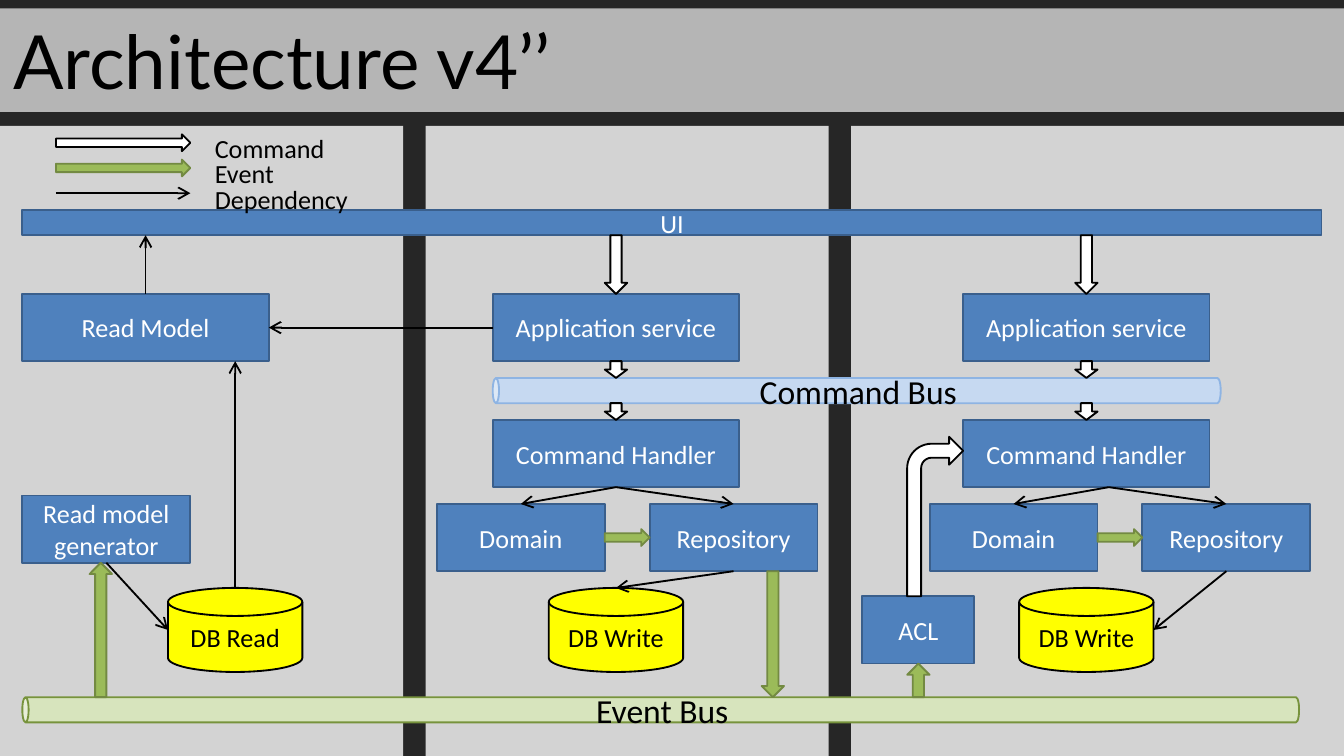
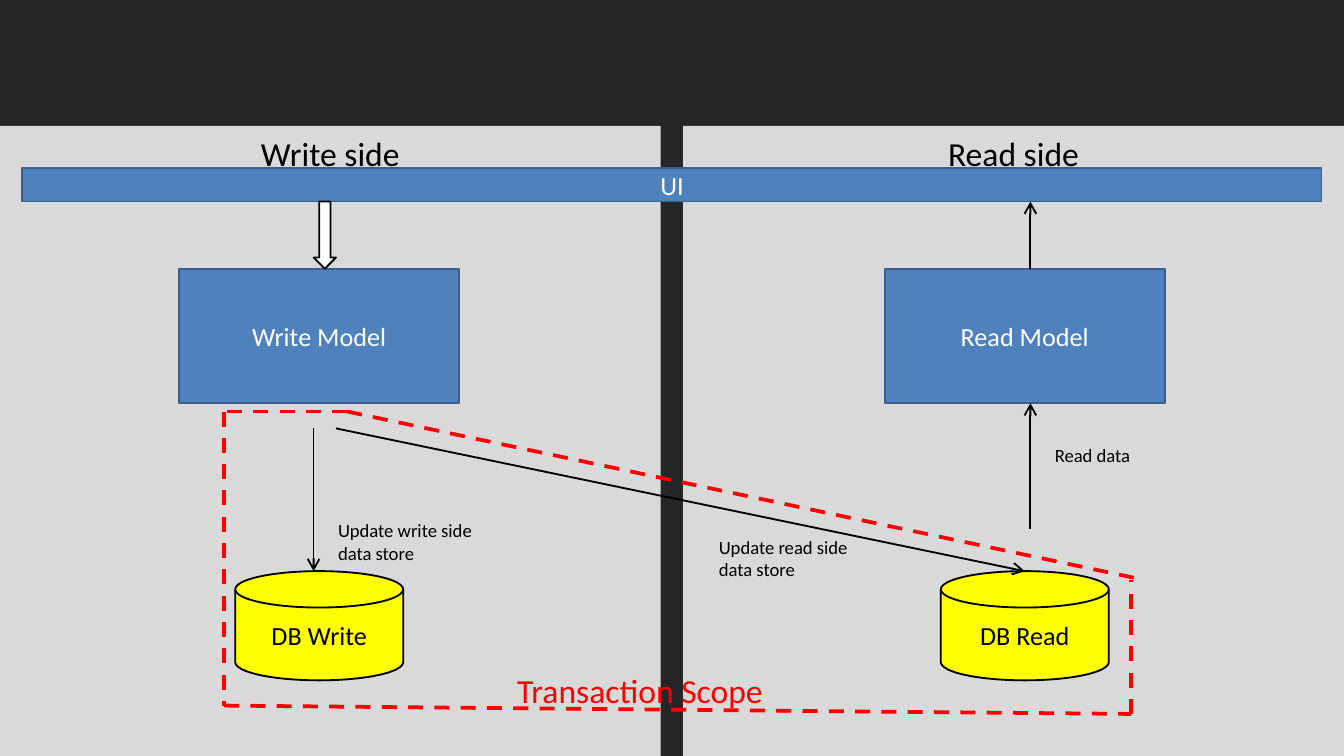
"""Build two architecture slides: a command and event diagram, and a transaction scope."""
from dataclasses import dataclass, replace
from typing import NamedTuple, Optional, Union

import pptx
import pptx.dml.color
import pptx.enum.dml
import pptx.enum.shapes
import pptx.enum.text
import pptx.oxml.ns
import pptx.oxml.xmlchemy
import pptx.shapes.autoshape
import pptx.shapes.connector
import pptx.slide
import pptx.util

Pt = pptx.util.Pt
RGBColor = pptx.dml.color.RGBColor
Preset = pptx.enum.shapes.MSO_SHAPE
Align = pptx.enum.text.PP_ALIGN
Anchor = pptx.enum.text.MSO_ANCHOR
Slide = pptx.slide.Slide
Shape = pptx.shapes.autoshape.Shape

BACKGROUND = RGBColor(0x26, 0x26, 0x26)
LIGHT_PANEL = RGBColor(0xF2, 0xF2, 0xF2)
GREY = RGBColor(0xD9, 0xD9, 0xD9)
WHITE = RGBColor(0xFF, 0xFF, 0xFF)
BLACK = RGBColor(0x00, 0x00, 0x00)
RED = RGBColor(0xFF, 0x00, 0x00)
YELLOW = RGBColor(0xFF, 0xFF, 0x00)
BLUE = RGBColor(0x4F, 0x81, 0xBD)
BLUE_EDGE = RGBColor(0x3A, 0x5F, 0x8C)
GREEN = RGBColor(0x9B, 0xBB, 0x59)
GREEN_EDGE = RGBColor(0x73, 0x8A, 0x42)
COMMAND_BUS = RGBColor(0xC6, 0xD9, 0xF1)
COMMAND_BUS_EDGE = RGBColor(0x8E, 0xB4, 0xE3)
EVENT_BUS = RGBColor(0xD7, 0xE4, 0xBD)
EVENT_BUS_EDGE = RGBColor(0x77, 0x93, 0x3C)

BODY_FONT = "Calibri"
TITLE_FONT = "Lato"
SLIDE_WIDTH, SLIDE_HEIGHT = 720, 405
PANEL_TOP = 67.5
TOP, LEFT, BOTTOM, RIGHT = range(4)


class Bounds(NamedTuple):
    """Visible extent of an element, in points."""
    left: float
    top: float
    width: float
    height: float


class Point(NamedTuple):
    """Free line end, in points."""
    x: float
    y: float


class Joint(NamedTuple):
    """Line end joined to a side of a shape."""
    shape: Shape
    side: int


End = Union[Point, Joint]


@dataclass(frozen=True)
class Style:
    """Look of a preset shape and its text."""
    preset: Preset
    fill: RGBColor
    edge: Optional[RGBColor] = None
    text_color: RGBColor = BLACK
    size: int = 14
    anchor: Anchor = Anchor.MIDDLE
    opacity: int = 100
    rotation: int = 0


@dataclass(frozen=True)
class LineStyle:
    """Look of a straight connector."""
    color: RGBColor
    width: int
    dashed: bool = False
    arrow: bool = False


COMPONENT = Style(Preset.RECTANGLE, BLUE, BLUE_EDGE, WHITE)
STORE = Style(Preset.FLOWCHART_MAGNETIC_DISK, YELLOW, BLACK)
COMMAND = Style(Preset.RIGHT_ARROW, WHITE, BLACK)
COMMAND_DOWN = replace(COMMAND, rotation=90)
COMMAND_BENT = replace(COMMAND, preset=Preset.BENT_ARROW)
EVENT = Style(Preset.RIGHT_ARROW, GREEN, GREEN_EDGE)
EVENT_DOWN = replace(EVENT, rotation=90)
EVENT_UP = replace(EVENT, rotation=270)
COMMAND_PIPE = Style(Preset.CAN, COMMAND_BUS, COMMAND_BUS_EDGE, size=18, rotation=270)
EVENT_PIPE = replace(COMMAND_PIPE, fill=EVENT_BUS, edge=EVENT_BUS_EDGE)
CONTEXT_PANEL = Style(Preset.RECTANGLE, LIGHT_PANEL, opacity=85)
SIDE_PANEL = Style(Preset.RECTANGLE, GREY, size=18, anchor=Anchor.TOP)
DEPENDENCY = LineStyle(BLACK, 1, arrow=True)
SCOPE = LineStyle(RED, 2, dashed=True)


def add_child(parent: pptx.oxml.xmlchemy.BaseOxmlElement, tag: str, **attributes: str) -> None:
    """Append a drawing element to a parent element."""
    child = pptx.oxml.xmlchemy.OxmlElement(tag)
    for name, value in attributes.items():
        child.set(name, value)
    parent.append(child)


def paint(shape: Shape, color: RGBColor, opacity: int = 100) -> None:
    """Fill a shape with a solid colour at the given opacity in percent."""
    shape.fill.solid()
    shape.fill.fore_color.rgb = color
    if opacity < 100:
        solid = shape.element.spPr.find(pptx.oxml.ns.qn("a:solidFill"))
        add_child(solid[0], "a:alpha", val=str(opacity * 1000))


def write(shape: Shape, text: str, size: int, color: RGBColor, align: Align,
          font_name: str = BODY_FONT) -> None:
    """Put one formatted paragraph in a shape."""
    shape.text_frame.word_wrap = True
    paragraph = shape.text_frame.paragraphs[0]
    paragraph.text = text
    paragraph.alignment = align
    paragraph.font.name = font_name
    paragraph.font.size = Pt(size)
    paragraph.font.color.rgb = color


def draw(slide: Slide, style: Style, bounds: Bounds, text: str = "") -> Shape:
    """Draw a preset shape so that it covers the bounds after rotation."""
    left, top, width, height = bounds
    if style.rotation:
        left += (width - height) / 2
        top += (height - width) / 2
        width, height = height, width
    shape = slide.shapes.add_shape(style.preset, Pt(left), Pt(top), Pt(width), Pt(height))
    shape.rotation = style.rotation
    shape.shadow.inherit = False
    paint(shape, style.fill, style.opacity)
    if style.edge is None:
        shape.line.fill.background()
    else:
        shape.line.color.rgb = style.edge
        shape.line.width = Pt(1)
    if text:
        write(shape, text, style.size, style.text_color, Align.CENTER)
        shape.text_frame.vertical_anchor = style.anchor
        if style.rotation:
            shape.element.txBody.bodyPr.set("vert", "vert")
    return shape


def label(slide: Slide, bounds: Bounds, text: str, size: int, color: RGBColor = BLACK) -> None:
    """Add a left-aligned text box."""
    box = slide.shapes.add_textbox(*map(Pt, bounds))
    write(box, text, size, color, Align.LEFT)


def connect(slide: Slide, start: End, end: End, style: LineStyle = DEPENDENCY) -> None:
    """Draw a straight connector between points or shape sides."""
    first, last = (item if isinstance(item, Point) else Point(0, 0) for item in (start, end))
    connector = slide.shapes.add_connector(
        pptx.enum.shapes.MSO_CONNECTOR.STRAIGHT, *map(Pt, first + last))
    if isinstance(start, Joint):
        connector.begin_connect(start.shape, start.side)
    if isinstance(end, Joint):
        connector.end_connect(end.shape, end.side)
    connector.line.color.rgb = style.color
    connector.line.width = Pt(style.width)
    if style.dashed:
        connector.line.dash_style = pptx.enum.dml.MSO_LINE.DASH
    if style.arrow:
        add_child(connector.line._get_or_add_ln(), "a:tailEnd", type="arrow")
    add_child(connector.element.spPr, "a:effectLst")


def draw_title(slide: Slide, text: str) -> None:
    """Place the title placeholder as a full-width band."""
    title = slide.shapes.title
    title.left, title.top, title.width, title.height = map(Pt, (0, 4.5, SLIDE_WIDTH, 55.5))
    paint(title, GREY, 80)
    write(title, text, 40, BLACK, Align.LEFT, TITLE_FONT)
    title.text_frame.auto_size = pptx.enum.text.MSO_AUTO_SIZE.NONE
    title.text_frame.vertical_anchor = Anchor.TOP


def draw_panels(slide: Slide, style: Style, widths: list[float], names: list[str]) -> None:
    """Draw the background panels side by side with a fixed gap."""
    left = 0
    for width, name in zip(widths, names):
        draw(slide, style, Bounds(left, PANEL_TOP, width, SLIDE_HEIGHT - PANEL_TOP), name)
        left += width + 12


def draw_write_context(slide: Slide, left: float, domain_left: float, fork_x: float) -> tuple[Shape, Shape]:
    """Draw one write column and return its application service and repository."""
    center = left + 66
    service = draw(slide, COMPONENT, Bounds(left, 157.5, 132, 36), "Application service")
    handler = draw(slide, COMPONENT, Bounds(left, 225, 132, 36), "Command Handler")
    domain = draw(slide, COMPONENT, Bounds(domain_left, 270, 90, 36), "Domain")
    repository = draw(slide, COMPONENT, Bounds(domain_left + 114, 270, 90, 36), "Repository")
    draw(slide, STORE, Bounds(center - 36, 315, 72, 45), "DB Write")
    for top, height in ((126, 31.5), (193.5, 9), (216, 9)):
        draw(slide, COMMAND_DOWN, Bounds(center - 6, top, 12, height))
    draw(slide, EVENT, Bounds(domain_left + 90, 283.5, 24, 9))
    fork = Joint(handler, BOTTOM) if fork_x == center else Point(fork_x, 261)
    for target in (domain, repository):
        connect(slide, fork, Joint(target, TOP))
    return service, repository


def build_architecture(slide: Slide) -> None:
    """Draw the command and event architecture."""
    draw_title(slide, "Architecture v4’’")
    draw_panels(slide, CONTEXT_PANEL, [216, 216, 264], ["", "", ""])
    draw(slide, COMPONENT, Bounds(12, 112.5, 696, 13.5), "UI")
    draw(slide, COMMAND_PIPE, Bounds(264, 202.5, 390, 13.5), "Command Bus")
    draw(slide, EVENT_PIPE, Bounds(12, 373.5, 684, 13.5), "Event Bus")

    service, repository = draw_write_context(slide, 264, 234, 330)
    connect(slide, Joint(repository, BOTTOM), Point(330, 315))
    draw(slide, EVENT_DOWN, Bounds(408, 306, 12, 67.5))

    _, repository = draw_write_context(slide, 516, 498, 594)
    connect(slide, Joint(repository, BOTTOM), Point(618, 337.5))
    draw(slide, COMPONENT, Bounds(462, 319.5, 60, 36), "ACL")
    draw(slide, EVENT_UP, Bounds(486, 355.5, 12, 18))
    draw(slide, COMMAND_BENT, Bounds(486, 234, 30, 85.5))

    read_model = draw(slide, COMPONENT, Bounds(12, 157.5, 132, 36), "Read Model")
    generator = draw(slide, COMPONENT, Bounds(12, 265.5, 90, 36), "Read model generator")
    draw(slide, STORE, Bounds(90, 315, 72, 45), "DB Read")
    draw(slide, EVENT_UP, Bounds(48, 301.5, 12, 72))
    connect(slide, Joint(read_model, TOP), Point(78, 126))
    connect(slide, Joint(service, LEFT), Joint(read_model, RIGHT))
    connect(slide, Point(126, 315), Point(126, 193.5))
    connect(slide, Joint(generator, BOTTOM), Point(90, 337.5))

    draw(slide, COMMAND, Bounds(30, 72, 72, 9))
    draw(slide, EVENT, Bounds(30, 85.5, 72, 9))
    connect(slide, Point(30, 103.5), Point(102, 103.5))
    for row, name in enumerate(("Command", "Event", "Dependency")):
        label(slide, Bounds(108, PANEL_TOP + 13.5 * row, 114, 24.5), name, 14)


def build_transaction_scope(slide: Slide) -> None:
    """Draw the write and read sides with the transaction scope."""
    draw_panels(slide, SIDE_PANEL, [354, 354], ["Write side", "Read side"])
    draw(slide, COMPONENT, Bounds(12, 90, 696, 18), "UI")
    for left, side in ((96, "Write"), (474, "Read")):
        draw(slide, COMPONENT, Bounds(left, 144, 150, 72), f"{side} Model")
        draw(slide, STORE, Bounds(left + 30, 306, 90, 58.5), f"DB {side}")
    draw(slide, COMMAND_DOWN, Bounds(168, 108, 12, 36))

    for start, end in ((Point(168, 229.5), Point(168, 306)),
                       (Point(180, 229.5), Point(549, 306)),
                       (Point(552, 283.5), Point(552, 216)),
                       (Point(552, 144), Point(552, 108))):
        connect(slide, start, end)
    label(slide, Bounds(174, 274.5, 90, 31.5), "Update write side data store", 10)
    label(slide, Bounds(378, 283.5, 90, 31.5), "Update read side data store", 10)
    label(slide, Bounds(558, 234, 90, 19.5), "Read data", 10)

    outline = [Point(612, 310.5), Point(186, 220.5), Point(120, 220.5), Point(120, 378),
               Point(606, 382.5), Point(606, 310.5)]
    for start, end in zip(outline, outline[1:]):
        if start.x > end.x and start.y > end.y:
            start, end = end, start
        connect(slide, start, end, SCOPE)
    label(slide, Bounds(270, 355.5, 180, 29), "Transaction Scope", 18, RED)


def main() -> None:
    """Create and save the presentation."""
    presentation = pptx.Presentation()
    presentation.slide_width, presentation.slide_height = Pt(SLIDE_WIDTH), Pt(SLIDE_HEIGHT)
    background = presentation.slide_master.background.fill
    background.solid()
    background.fore_color.rgb = BACKGROUND
    title_only, blank = presentation.slide_layouts[5], presentation.slide_layouts[6]
    build_architecture(presentation.slides.add_slide(title_only))
    build_transaction_scope(presentation.slides.add_slide(blank))
    presentation.save("out.pptx")


if __name__ == "__main__":
    main()
